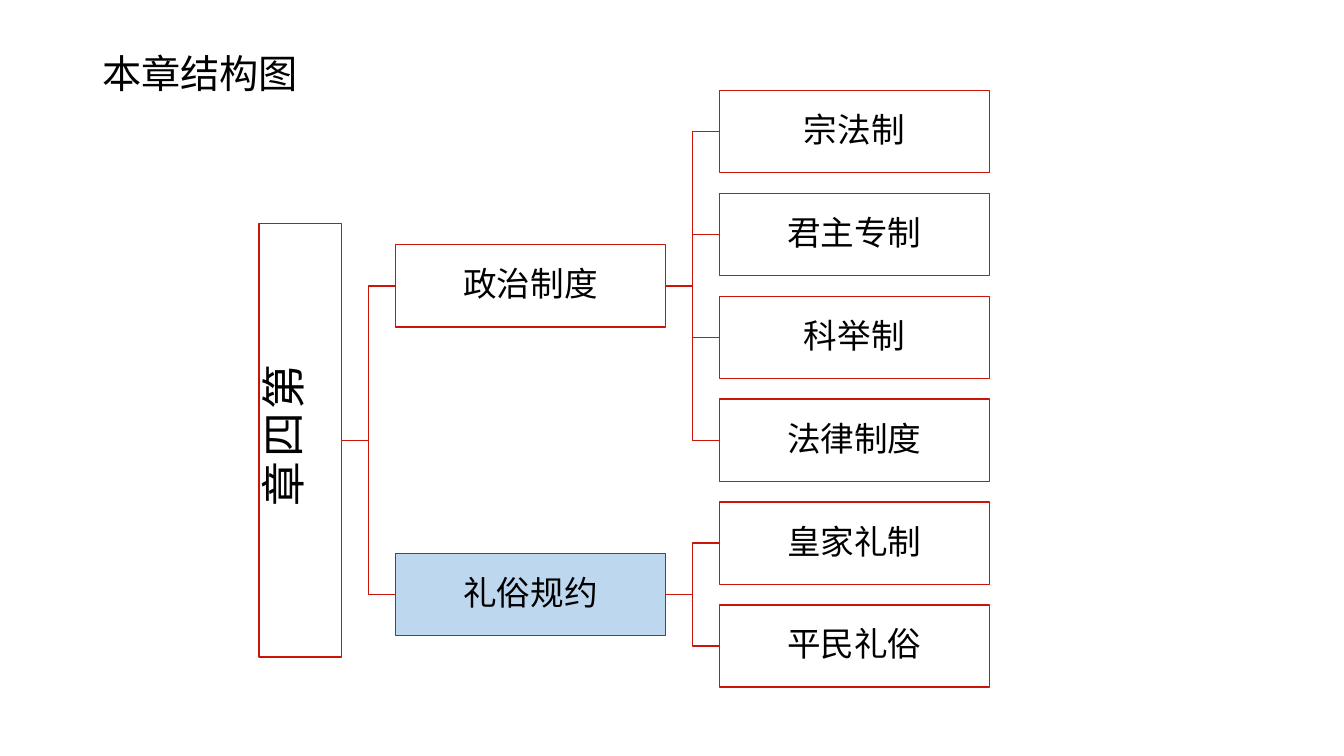
from lxml import etree
from pptx import Presentation
from pptx.dml.color import RGBColor
from pptx.enum.shapes import MSO_CONNECTOR, MSO_SHAPE
from pptx.enum.text import MSO_ANCHOR, PP_ALIGN
from pptx.oxml.ns import qn
from pptx.util import Pt

TITLE = "本章结构图"
CHAPTER = "第四章"
BRANCHES = [
    ("政治制度", "FFFFFF", ["宗法制", "君主专制", "科举制", "法律制度"]),
    ("礼俗规约", "BDD7EE", ["皇家礼制", "平民礼俗"]),
]

FONT = "Noto Sans CJK SC"
RED, WHITE, BLACK = "CB150A", "FFFFFF", "000000"

BOX_W, BOX_H = 192.8, 58.8
CHAPTER_LENGTH = 309.6
GAP = 38.6
CHAPTER_X = 185.1
BRANCH_X = CHAPTER_X + BOX_H + GAP
LEAF_X = BRANCH_X + BOX_W + GAP
FIRST_LEAF_Y, LEAF_STEP = 94, 73.5  # centre lines


def rgb(hex_colour):
    return RGBColor.from_string(hex_colour)


def write(shape, text, size=24, align=PP_ALIGN.CENTER, margins=None, space_after=0):
    frame = shape.text_frame
    frame.word_wrap = True
    frame.vertical_anchor = MSO_ANCHOR.MIDDLE
    if margins is not None:
        frame.margin_left = frame.margin_right = Pt(margins)
        frame.margin_top = frame.margin_bottom = Pt(margins)
    paragraph = frame.paragraphs[0]
    paragraph.alignment = align
    paragraph.line_spacing = 0.9
    paragraph.space_after = Pt(space_after)
    run = paragraph.add_run()
    run.text = text
    run.font.size = Pt(size)
    run.font.color.rgb = rgb(BLACK)
    run.font.name = FONT
    east_asian = etree.SubElement(run.font._element, qn("a:ea"))
    east_asian.set("typeface", FONT)


def add_box(shapes, text, x, middle, width=BOX_W, fill=WHITE, size=24):
    box = shapes.add_shape(MSO_SHAPE.RECTANGLE, Pt(x), Pt(middle - BOX_H / 2),
                           Pt(width), Pt(BOX_H))
    box.shadow.inherit = False
    box.fill.solid()
    box.fill.fore_color.rgb = rgb(fill)
    box.line.color.rgb = rgb(RED)
    box.line.width = Pt(1)
    write(box, text, size=size, margins=1.5, space_after=0.35 * size)
    return box


def add_elbow(shapes, right_edge, start_y, end_y):
    """Link a box's right edge to the next column."""
    elbow = shapes.add_connector(MSO_CONNECTOR.ELBOW, Pt(right_edge), Pt(start_y),
                                 Pt(right_edge + GAP), Pt(end_y))
    elbow.line.color.rgb = rgb(RED)
    elbow.line.width = Pt(1)
    etree.SubElement(elbow._element.spPr, qn("a:effectLst"))


def add_chapter(shapes, middle):
    """The upright box is a wide one turned a quarter to the left."""
    centre_x = CHAPTER_X + BOX_H / 2
    chapter = add_box(shapes, CHAPTER, centre_x - CHAPTER_LENGTH / 2, middle,
                      width=CHAPTER_LENGTH, size=32)
    chapter.rotation = 270
    chapter.text_frame._txBody.bodyPr.set("vert", "eaVert")


def main():
    prs = Presentation()
    prs.slide_width, prs.slide_height = Pt(960), Pt(540)
    shapes = prs.slides.add_slide(prs.slide_layouts[6]).shapes

    title = shapes.add_textbox(Pt(66), Pt(28.8), Pt(828), Pt(51))
    write(title, TITLE, size=28, align=PP_ALIGN.LEFT)

    branch_middles = []
    next_leaf_y = FIRST_LEAF_Y
    for branch, fill, leaves in BRANCHES:
        leaf_middles = [next_leaf_y + i * LEAF_STEP for i in range(len(leaves))]
        next_leaf_y = leaf_middles[-1] + LEAF_STEP
        branch_middle = (leaf_middles[0] + leaf_middles[-1]) / 2
        branch_middles.append(branch_middle)
        for leaf, leaf_middle in zip(leaves, leaf_middles):
            add_elbow(shapes, BRANCH_X + BOX_W, branch_middle, leaf_middle)
            add_box(shapes, leaf, LEAF_X, leaf_middle)
        add_box(shapes, branch, BRANCH_X, branch_middle, fill=fill)

    chapter_middle = sum(branch_middles) / len(branch_middles)
    for branch_middle in branch_middles:
        add_elbow(shapes, CHAPTER_X + BOX_H, chapter_middle, branch_middle)
    add_chapter(shapes, chapter_middle)

    prs.save("out.pptx")


if __name__ == "__main__":
    main()
